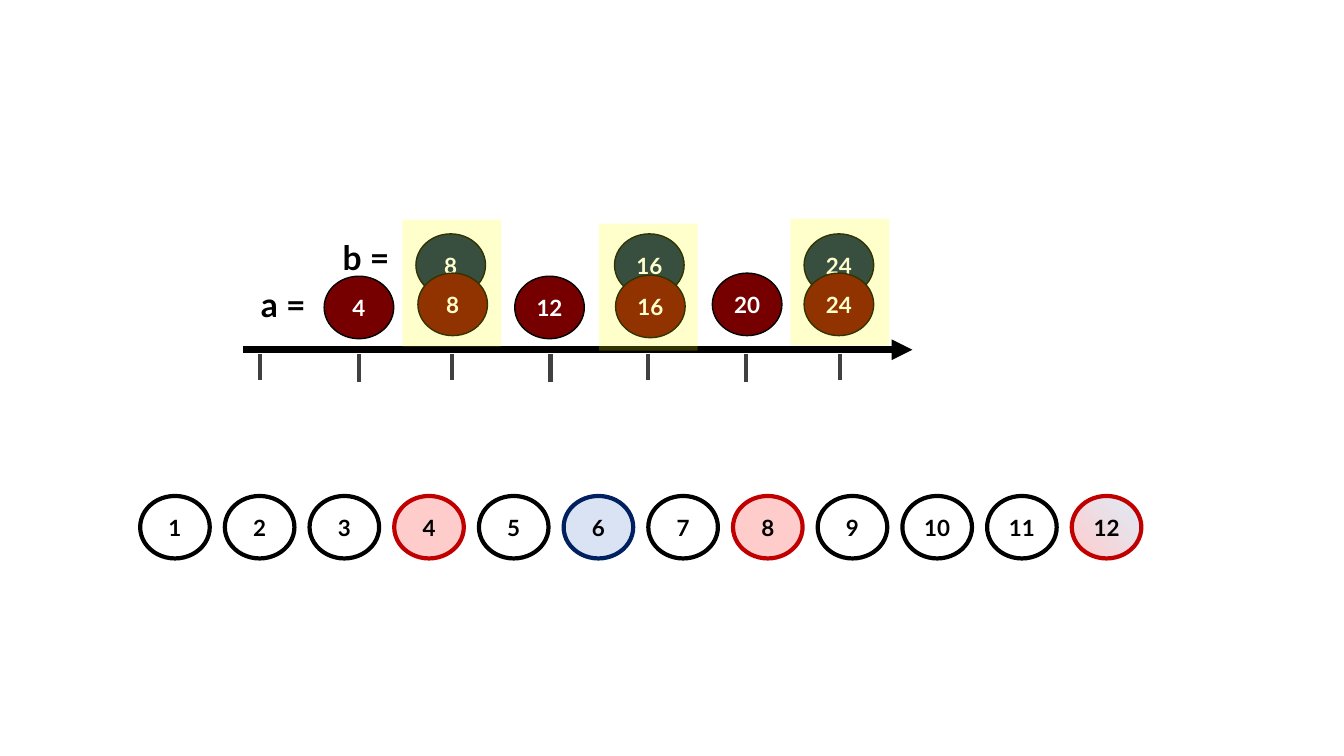
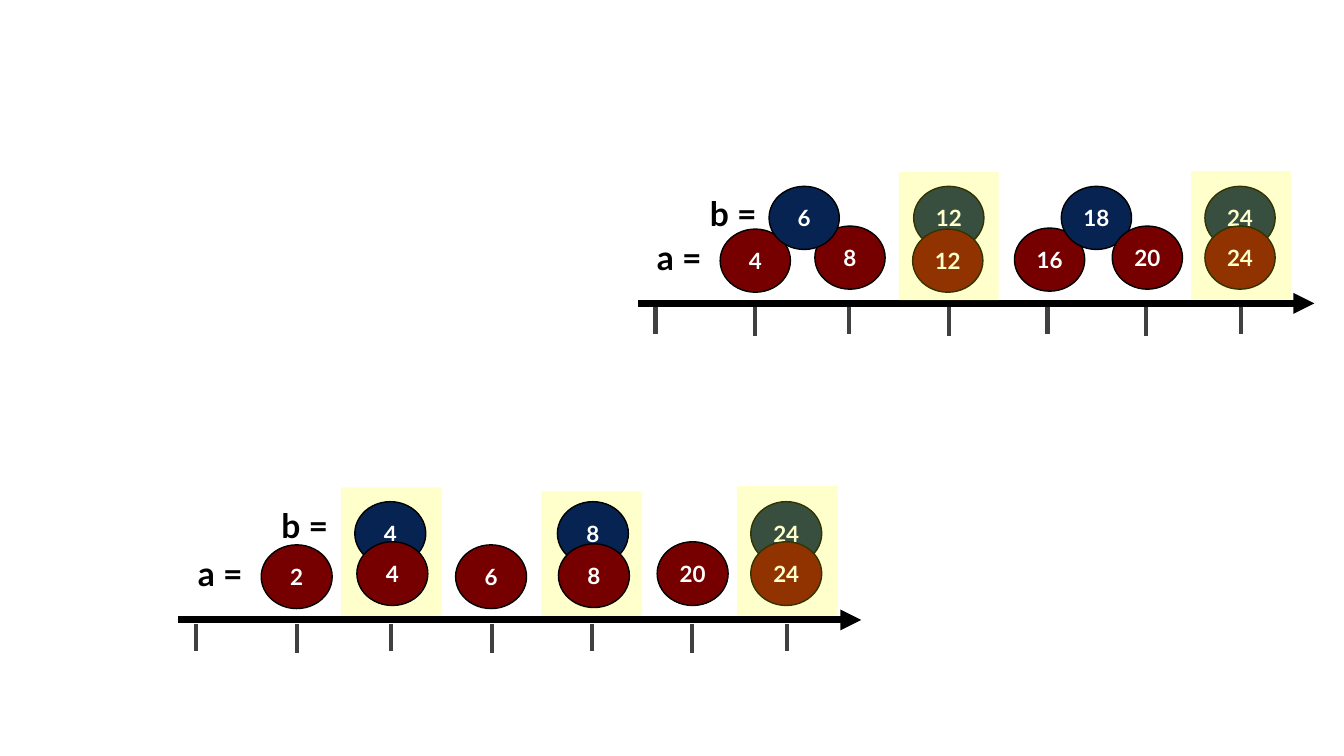
from dataclasses import dataclass
from typing import NamedTuple

import lxml.etree
import pptx
import pptx.dml.color
import pptx.enum.shapes
import pptx.enum.text
import pptx.oxml.ns
import pptx.slide
import pptx.util

Slide = pptx.slide.Slide
SHAPES = pptx.enum.shapes.MSO_SHAPE
ALIGN = pptx.enum.text.PP_ALIGN


@dataclass(frozen=True)
class Theme:
    font: str = "Lato"
    disc_size: int = 16
    label_size: int = 24
    ink: str = "000000"
    paper: str = "FFFFFF"
    a_fill: str = "760000"
    b_fill: str = "072351"
    tick: str = "404040"
    band: str = "FFFF00"
    band_alpha: int = 20
    thin: int = 1
    medium: int = 3
    thick: int = 5


THEME = Theme()


# Grid: ten columns and ten rows to the inch
COLUMNS, ROWS = 133.3, 75
DISC_W, DISC_H = 6.9, 6.2
BAND_W, BAND_H = 9.8, 12.6
LABEL_W, LABEL_H = 10.2, 5
AXIS_LENGTH = 66.4
B_LIFT = 11.5
TICK_GAP = 0.4


def cells(count: float) -> pptx.util.Length:
    return pptx.util.Inches(count / 10)


def rgb(code: str) -> pptx.dml.color.RGBColor:
    return pptx.dml.color.RGBColor.from_string(code)


class Box(NamedTuple):
    left: float
    top: float
    width: float
    height: float

    def lengths(self) -> list[pptx.util.Length]:
        return [cells(count) for count in self]


class DiscStyle(NamedTuple):
    fills: tuple[str, ...]  # two fills make a gradient
    outline: str
    weight: int
    text: str


A_STYLE = DiscStyle((THEME.a_fill,), THEME.ink, THEME.thin, THEME.paper)
B_STYLE = DiscStyle((THEME.b_fill,), THEME.ink, THEME.thin, THEME.paper)
PLAIN = DiscStyle((THEME.paper,), THEME.ink, THEME.medium, THEME.ink)
MULTIPLE_OF_A = DiscStyle(("FFCCCC",), "C00000", THEME.medium, THEME.ink)
MULTIPLE_OF_B = DiscStyle(("DAE3F3",), "002060", THEME.medium, THEME.ink)
COMMON = DiscStyle(("DEEBF7", "FFCCCC"), "C00000", THEME.medium, THEME.ink)


class Stop(NamedTuple):
    tick: float       # columns right of the axis start
    disc: float       # centre of the a disc
    a_lift: float     # rows above the axis
    band_lift: float
    tick_length: float


ZERO_TICK, ZERO_TICK_LENGTH = 1.7, 2.6
STOPS = (
    Stop(11.5, 11.5, 7.3, 12.9, 2.8),
    Stop(20.7, 20.8, 7.6, 12.9, 2.6),
    Stop(30.5, 30.4, 7.3, 12.9, 2.8),
    Stop(40.2, 40.4, 7.4, 12.5, 2.6),
    Stop(49.9, 50.0, 7.6, 12.9, 2.8),
    Stop(59.2, 59.1, 7.6, 13.0, 2.6),
)
FRONT_STOP = 4  # from here on the a discs cover every b disc


class Multiple(NamedTuple):
    value: int
    centre: float
    behind: bool = True  # behind the first a discs


@dataclass(frozen=True)
class NumberLine:
    left: float
    axis: float
    scale: float
    a_values: tuple[int, ...]
    b_multiples: tuple[Multiple, ...]
    bands_over: tuple[int, ...]
    bands_under: tuple[int, ...] = ()
    b_label: tuple[float, float] = (6.1, 11.7)

    def x(self, columns: float) -> float:
        return self.left + columns * self.scale

    def box(self, left: float, lift: float, width: float, height: float) -> Box:
        return Box(self.x(left), self.axis - lift * self.scale,
                   width * self.scale, height * self.scale)


def add_text(frame: pptx.text.text.TextFrame, text: str, size: int,
             color: str, align: pptx.enum.text.PP_ALIGN) -> None:
    paragraph = frame.paragraphs[0]
    paragraph.alignment = align
    run = paragraph.add_run()
    run.text = text
    run.font.name = THEME.font
    run.font.size = pptx.util.Pt(size)
    run.font.bold = True
    run.font.color.rgb = rgb(color)


def add_disc(slide: Slide, box: Box, value: int, style: DiscStyle) -> None:
    disc = slide.shapes.add_shape(SHAPES.OVAL, *box.lengths())
    disc.shadow.inherit = False
    if len(style.fills) > 1:
        disc.fill.gradient()
        disc.fill.gradient_angle = 225
        for stop, color in zip(disc.fill.gradient_stops, style.fills):
            stop.color.rgb = rgb(color)
    else:
        disc.fill.solid()
        disc.fill.fore_color.rgb = rgb(style.fills[0])
    disc.line.color.rgb = rgb(style.outline)
    disc.line.width = pptx.util.Pt(style.weight)
    frame = disc.text_frame
    frame.margin_left = frame.margin_right = 0
    frame.vertical_anchor = pptx.enum.text.MSO_ANCHOR.MIDDLE
    add_text(frame, str(value), THEME.disc_size, style.text, ALIGN.CENTER)


def add_band(slide: Slide, line: NumberLine, index: int) -> None:
    stop = STOPS[index]
    box = line.box(stop.tick - BAND_W / 2, stop.band_lift, BAND_W, BAND_H)
    band = slide.shapes.add_shape(SHAPES.RECTANGLE, *box.lengths())
    band.shadow.inherit = False
    band.fill.solid()
    band.fill.fore_color.rgb = rgb(THEME.band)
    band.line.fill.background()
    color = band._element.spPr.find(".//" + pptx.oxml.ns.qn("a:srgbClr"))
    lxml.etree.SubElement(color, pptx.oxml.ns.qn("a:alpha"),
                          val=str(THEME.band_alpha * 1000))


def add_rule(slide: Slide, start: tuple[float, float], end: tuple[float, float],
             color: str, weight: int, arrow: bool = False) -> None:
    rule = slide.shapes.add_connector(
        pptx.enum.shapes.MSO_CONNECTOR.STRAIGHT,
        *(cells(count) for count in start + end))
    rule.line.color.rgb = rgb(color)
    rule.line.width = pptx.util.Pt(weight)
    properties = rule._element.spPr
    if arrow:
        outline = properties.find(pptx.oxml.ns.qn("a:ln"))
        lxml.etree.SubElement(outline, pptx.oxml.ns.qn("a:tailEnd"), type="triangle")
    lxml.etree.SubElement(properties, pptx.oxml.ns.qn("a:effectLst"))


def add_label(slide: Slide, box: Box, text: str) -> None:
    label = slide.shapes.add_textbox(*box.lengths())
    label.text_frame.word_wrap = True
    add_text(label.text_frame, text, THEME.label_size, THEME.ink, ALIGN.RIGHT)


def add_multiples(slide: Slide, line: NumberLine, behind: bool) -> None:
    for multiple in line.b_multiples:
        if multiple.behind == behind:
            box = line.box(multiple.centre - DISC_W / 2, B_LIFT, DISC_W, DISC_H)
            add_disc(slide, box, multiple.value, B_STYLE)


def add_a_discs(slide: Slide, line: NumberLine, part: slice) -> None:
    for stop, value in list(zip(STOPS, line.a_values))[part]:
        box = line.box(stop.disc - DISC_W / 2, stop.a_lift, DISC_W, DISC_H)
        add_disc(slide, box, value, A_STYLE)


def add_number_line(slide: Slide, line: NumberLine) -> None:
    for index in line.bands_under:
        add_band(slide, line, index)

    # Axis and ticks
    add_rule(slide, (line.left, line.axis), (line.x(AXIS_LENGTH), line.axis),
             THEME.ink, THEME.thick, arrow=True)
    ticks = [(ZERO_TICK, ZERO_TICK_LENGTH)]
    ticks += [(stop.tick, stop.tick_length) for stop in STOPS]
    for tick, length in ticks:
        top = line.axis + TICK_GAP
        add_rule(slide, (line.x(tick), top),
                 (line.x(tick), top + length * line.scale),
                 THEME.tick, THEME.medium)

    # Multiples of a and b, from back to front
    add_multiples(slide, line, behind=True)
    add_a_discs(slide, line, slice(FRONT_STOP))
    add_multiples(slide, line, behind=False)
    add_a_discs(slide, line, slice(FRONT_STOP, None))

    # Common multiples and row labels
    for index in line.bands_over:
        add_band(slide, line, index)
    add_label(slide, line.box(-2.2, 7, LABEL_W, LABEL_H), "a = ")
    add_label(slide, line.box(*line.b_label, LABEL_W, LABEL_H), "b = ")


def add_counting_row(slide: Slide) -> None:
    left, top, pitch = 13.9, 49.2, 8.4
    marked = {4: MULTIPLE_OF_A, 6: MULTIPLE_OF_B, 8: MULTIPLE_OF_A, 12: COMMON}
    for index in range(12):
        box = Box(left + index * pitch, top, DISC_W, DISC_H)
        add_disc(slide, box, index + 1, marked.get(index + 1, PLAIN))


FOURS_AND_EIGHTS = NumberLine(
    24.1, 34.7, 1, (4, 8, 12, 16, 20, 24),
    (Multiple(8, 20.6), Multiple(16, 40.3), Multiple(24, 59.1)),
    bands_over=(1, 3, 5))
FOURS_AND_SIXES = NumberLine(
    63.3, 30.1, 1.01, (4, 8, 12, 16, 20, 24),
    (Multiple(12, 30.5), Multiple(6, 16.3, False),
     Multiple(18, 45, False), Multiple(24, 59.1, False)),
    bands_over=(2, 5), b_label=(3.2, 11.3))
TWOS_AND_FOURS = NumberLine(
    17.7, 61.5, 1.02, (2, 4, 6, 8, 20, 24),
    (Multiple(4, 20.6), Multiple(8, 40.3), Multiple(24, 59.1)),
    bands_over=(5,), bands_under=(1, 3))


def main() -> None:
    deck = pptx.Presentation()
    deck.slide_width, deck.slide_height = cells(COLUMNS), cells(ROWS)
    blank = deck.slide_layouts[6]

    one_pair = deck.slides.add_slide(blank)
    add_number_line(one_pair, FOURS_AND_EIGHTS)
    add_counting_row(one_pair)

    two_pairs = deck.slides.add_slide(blank)
    for line in (FOURS_AND_SIXES, TWOS_AND_FOURS):
        add_number_line(two_pairs, line)

    deck.save("out.pptx")


if __name__ == "__main__":
    main()
